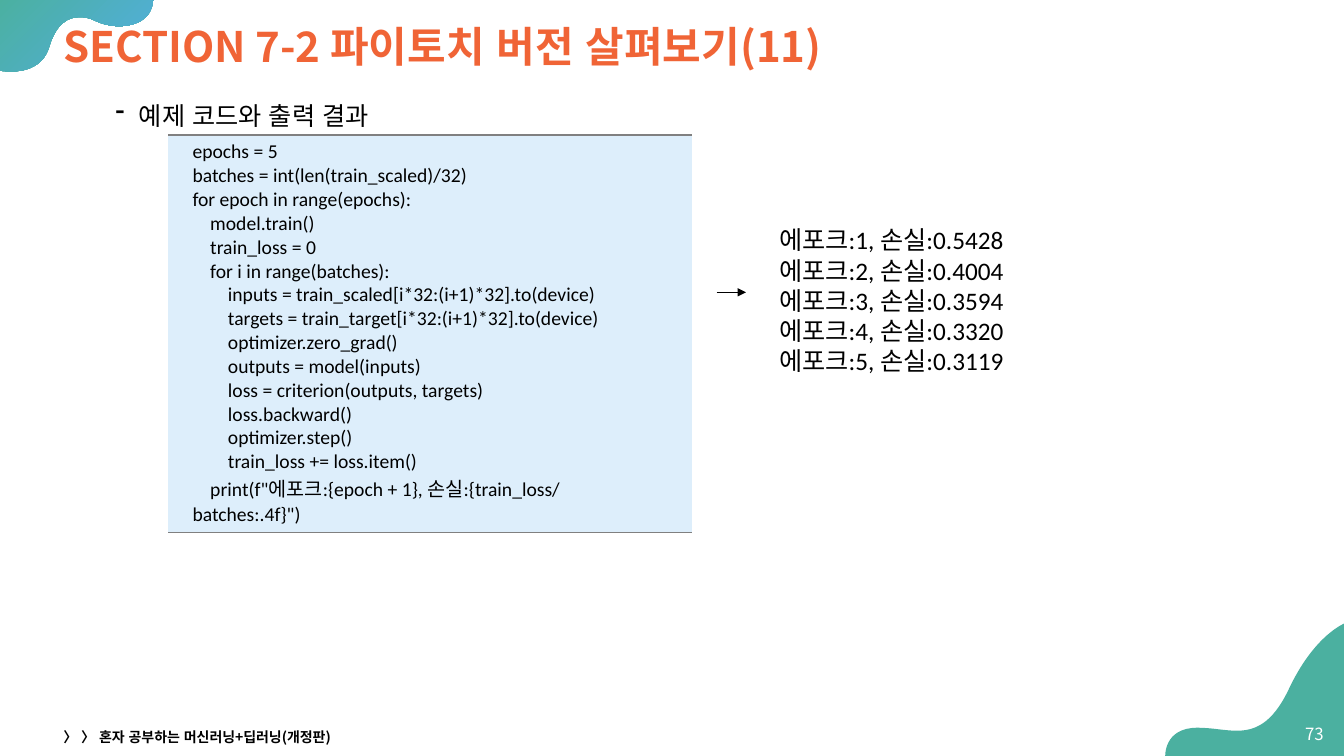
from lxml import etree
from pptx import Presentation
from pptx import util as u
from pptx.dml.color import RGBColor
from pptx.enum import shapes, text
from pptx.oxml import parse_xml
from pptx.oxml.ns import nsdecls, qn

ORANGE = RGBColor(0xF0, 0x64, 0x36)
GREEN = RGBColor(0x4B, 0xB0, 0xA0)
BLUE = RGBColor(0x52, 0xAE, 0xE1)
PALE_BLUE = RGBColor(0xDD, 0xEE, 0xFB)
BLACK = RGBColor(0, 0, 0)
WHITE = RGBColor(0xFF, 0xFF, 0xFF)
KOREAN, LATIN = "Noto Sans CJK KR", "Calibri"
LEFT = 0.53

prs = Presentation()
prs.slide_width, prs.slide_height = u.Inches(7.5 * 16 / 9), u.Inches(7.5)
s = prs.slides.add_slide(prs.slide_layouts[6])


def write(tf, lines, size, face, color, bold=False):
    """Fill a text frame with one equally styled paragraph per line."""
    tf.word_wrap = True
    tf.text = "\n".join(lines)
    for p in tf.paragraphs:
        p.font.size, p.font.bold, p.font.name = u.Pt(size), bold, face
        p.font.color.rgb = color
        rPr = p.font._element
        if face == KOREAN:
            rPr.set("kern", "0")
            rPr.set("lang", "ko-KR")
        rPr.find(qn("a:latin")).addnext(
            parse_xml(f'<a:ea {nsdecls("a")} typeface="{KOREAN}"/>'))


def add_blob(start, segments):
    """Draw a closed outline; 2 numbers make a line, 6 a cubic curve."""
    fb = s.shapes.build_freeform(u.Inches(start[0]), u.Inches(start[1]))
    fb.add_line_segments([(u.Inches(seg[i]), u.Inches(seg[i + 1]))
                          for seg in segments for i in range(0, len(seg), 2)])
    sp = fb.convert_to_shape()
    steps = iter(list(sp._element.iter(qn("a:lnTo"))))
    for seg in segments:
        step = next(steps)
        if len(seg) == 6:
            step.tag = qn("a:cubicBezTo")
            for control in (next(steps), next(steps)):
                step.append(control[0])
                control.getparent().remove(control)
    sp.shadow.inherit = False
    sp.line.fill.background()
    return sp


# Corner decorations
corner = add_blob((1.52, -0.02), [
    (-0.01, -0.02), (-0.01, 0.7),
    (-0.01, 0.7, 0.04, 0.71, 0.11, 0.71), (0.24, 0.71, 0.43, 0.67, 0.49, 0.46),
    (0.56, 0.23, 0.68, 0.17, 0.79, 0.17), (0.84, 0.17, 0.89, 0.18, 0.93, 0.2),
    (1.01, 0.24, 1.1, 0.26, 1.18, 0.26), (1.37, 0.26, 1.52, 0.17, 1.52, -0.02)])
corner.fill.gradient()
corner.fill.gradient_angle = 315
for stop, color in zip(corner.fill.gradient_stops, (GREEN, BLUE)):
    stop.color.rgb = color

wave = add_blob((13.35, 6.18), [
    (13.35, 6.18, 13.04, 6.29, 12.78, 6.85), (12.62, 7.18, 12.45, 7.25, 12.27, 7.25),
    (12.15, 7.25, 12.02, 7.22, 11.88, 7.22), (11.54, 7.22, 11.56, 7.51, 11.56, 7.51),
    (13.35, 7.51)])
wave.fill.solid()
wave.fill.fore_color.rgb = GREEN

# Text boxes: place, lines, size, face, colour, bold, anchor
MIDDLE, TOP = text.MSO_ANCHOR.MIDDLE, text.MSO_ANCHOR.TOP
losses = ("0.5428", "0.4004", "0.3594", "0.3320", "0.3119")
results = [f"에포크:{n}, 손실:{loss}" for n, loss in enumerate(losses, 1)]
boxes = []
for place, lines, size, face, color, bold, anchor in (
        ((LEFT, 0.12, 12.34, 0.73), ["SECTION 7-2 파이토치 버전 살펴보기(11)"],
         30, KOREAN, ORANGE, True, MIDDLE),
        ((12.79, 7.08, 0.44, 0.4), ["73"], 12, KOREAN, WHITE, False, MIDDLE),
        ((LEFT, 7.19, 4.5, 0.24), ["〉 〉 혼자 공부하는 머신러닝+딥러닝(개정판)"],
         10, KOREAN, BLACK, True, MIDDLE),
        ((LEFT, 0.89, 12.46, 5.82), ["예제 코드와 출력 결과"],
         18, KOREAN, BLACK, False, TOP),
        ((7.63, 2.18, 3.29, 1.62), results, 18, LATIN, BLACK, False, TOP)):
    tf = s.shapes.add_textbox(*map(u.Inches, place)).text_frame
    tf.vertical_anchor = anchor
    write(tf, lines, size, face, color, bold)
    boxes.append(tf.paragraphs[0])
title, number, footer, heading, output = boxes
title.line_spacing = 0.9
number.alignment = text.PP_ALIGN.RIGHT
pPr = heading._p.get_or_add_pPr()
pPr.set("marL", str(u.Inches(0.75)))
pPr.set("indent", str(u.Inches(-0.25)))
pPr.insert(0, parse_xml(f'<a:buChar {nsdecls("a")} char="⁃"/>'))
heading.line_spacing = 1.2

# Code panel; the last statement is broken after its slash
CODE = '''epochs = 5
batches = int(len(train_scaled)/32)
for epoch in range(epochs):
    model.train()
    train_loss = 0
    for i in range(batches):
        inputs = train_scaled[i*32:(i+1)*32].to(device)
        targets = train_target[i*32:(i+1)*32].to(device)
        optimizer.zero_grad()
        outputs = model(inputs)
        loss = criterion(outputs, targets)
        loss.backward()
        optimizer.step()
        train_loss += loss.item()
    print(f"에포크:{epoch + 1}, 손실:{train_loss/\vbatches:.4f}")'''
table = s.shapes.add_table(1, 1, *map(u.Inches, (1.67, 1.34, 5.2, 3.94))).table
table.first_row = table.horz_banding = False
cell = table.cell(0, 0)
cell.margin_left = u.Inches(0.24)
cell.fill.solid()
cell.fill.fore_color.rgb = PALE_BLUE
write(cell.text_frame, CODE.split("\n"), 14, LATIN, BLACK)
GREY_LINE = '<a:solidFill><a:srgbClr val="808080"/></a:solidFill>'
tcPr = cell._tc.get_or_add_tcPr()
for i, side in enumerate("LRTB"):
    paint = GREY_LINE if side in "TB" else "<a:noFill/>"
    tcPr.insert(i, parse_xml(
        f'<a:ln{side} {nsdecls("a")} w="{u.Pt(1)}">{paint}</a:ln{side}>'))

# Arrow from code to output
arrow = s.shapes.add_connector(shapes.MSO_CONNECTOR.STRAIGHT,
                               *map(u.Inches, (7.11, 2.9, 7.4, 2.9)))
arrow.line.color.rgb = BLACK
arrow.line.width = u.Pt(0.5)
etree.SubElement(arrow.line._get_or_add_ln(), qn("a:tailEnd"), type="triangle")
etree.SubElement(arrow._element.spPr, qn("a:effectLst"))

prs.save("out.pptx")
